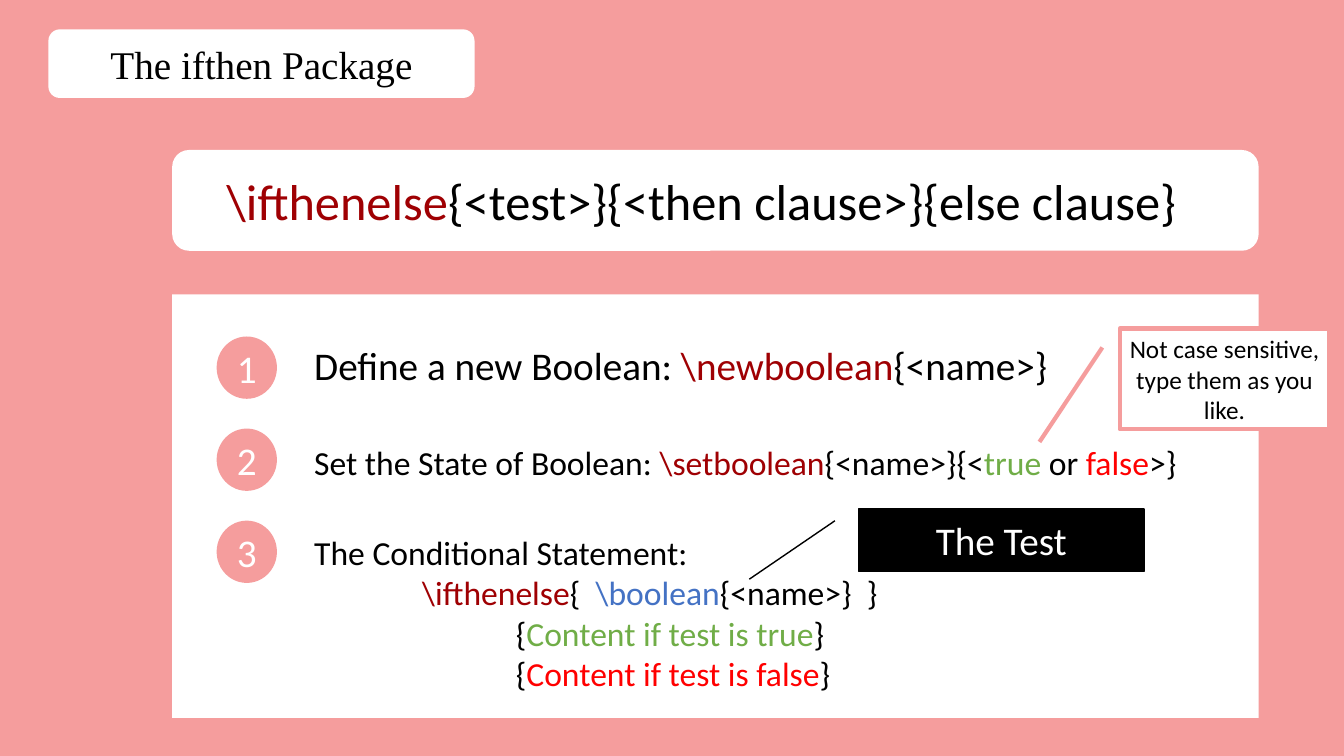
from dataclasses import dataclass

from pptx import Presentation
from pptx.dml.color import RGBColor
from pptx.enum.shapes import MSO_SHAPE
from pptx.enum.text import MSO_ANCHOR, PP_ALIGN
from pptx.util import Cm, Pt

RECTANGLE = MSO_SHAPE.RECTANGLE
ROUNDED = MSO_SHAPE.ROUNDED_RECTANGLE
OVAL = MSO_SHAPE.OVAL
CALLOUT = MSO_SHAPE.LINE_CALLOUT_1
MIDDLE = MSO_ANCHOR.MIDDLE
CENTER = PP_ALIGN.CENTER


@dataclass(frozen=True)
class Theme:
    pink: str = "F59D9D"
    white: str = "FFFFFF"
    black: str = "000000"
    command: str = "9F0003"
    boolean: str = "4472C4"
    true: str = "70AD47"
    false: str = "FF0000"
    body: str = "Calibri"
    serif: str = "Times New Roman"
    syntax_size: int = 36
    large: int = 28
    medium: int = 24
    small: int = 18


THEME = Theme()
CONTENT_LEFT = 4.34
CONTENT_WIDTH = 27.38
BADGE_LEFT = 5.46
STEP_TOP = 8.48
STEP_PITCH = 2.32


def rgb(color):
    return RGBColor.from_string(color)


def style_paragraph(para, size, color=THEME.black, font=THEME.body):
    para.font.size = Pt(size)
    para.font.name = font
    para.font.color.rgb = rgb(color)


def add_panel(shapes, kind, place, fill, outline=None, width=1):
    panel = shapes.add_shape(kind, *map(Cm, place))
    panel.shadow.inherit = False
    panel.fill.solid()
    panel.fill.fore_color.rgb = rgb(fill)
    if outline:
        panel.line.color.rgb = rgb(outline)
        panel.line.width = Pt(width)
    else:
        panel.line.fill.background()
    return panel


def add_label(panel, text, size, color, font=THEME.body):
    frame = panel.text_frame
    frame.word_wrap = True
    frame.vertical_anchor = MIDDLE
    para = frame.paragraphs[0]
    para.text = text
    para.alignment = CENTER
    style_paragraph(para, size, color, font)


def add_code(shapes, place, size, lines):
    box = shapes.add_textbox(*map(Cm, place))
    frame = box.text_frame
    frame.word_wrap = True
    for index, (indent, spans) in enumerate(lines):
        para = frame.add_paragraph() if index else frame.paragraphs[0]
        if indent:
            para._p.get_or_add_pPr().set("marL", str(Cm(indent)))
        style_paragraph(para, size)
        for text, color in spans:
            span = para.add_run()
            span.text = text
            if color != THEME.black:
                span.font.color.rgb = rgb(color)


def add_step(page, number, text_top, text_height, size, lines):
    group = page.shapes.add_group_shape()
    top = STEP_TOP + (number - 1) * STEP_PITCH
    badge = add_panel(group.shapes, OVAL, (BADGE_LEFT, top, 1.52, 1.57), THEME.pink)
    add_label(badge, str(number), THEME.large, THEME.white)
    add_code(group.shapes, (7.67, text_top, 23.22, text_height), size, lines)


def add_syntax(page):
    group = page.shapes.add_group_shape()
    add_panel(group.shapes, ROUNDED, (CONTENT_LEFT, 3.78, CONTENT_WIDTH, 2.54), THEME.white)
    spans = [("\\ifthenelse", THEME.command),
             ("{<test>}{<then clause>}{else clause}", THEME.black)]
    add_code(group.shapes, (BADGE_LEFT, 4.17, 25.4, 1.8), THEME.syntax_size, [(0, spans)])


def add_steps(page):
    black, command = THEME.black, THEME.command
    define = [("Define a new Boolean: ", black), ("\\newboolean", command), ("{<name>}", black)]
    assign = [("Set the State of Boolean: ", black), ("\\setboolean", command),
              ("{<name>}{<", black), ("true", THEME.true), (" or ", black),
              ("false", THEME.false), (">}", black)]
    condition = [("\\ifthenelse", command), ("{  ", black),
                 ("\\boolean", THEME.boolean), ("{<name>}  }", black)]
    branches = [
        (5.08, [("{", black), (f"Content if test is {word}", color), ("}", black)])
        for word, color in (("true", THEME.true), ("false", THEME.false))
    ]
    statement = [(0, [("The Conditional Statement:", black)]), (2.72, condition), *branches]
    add_step(page, 1, 8.48, 1.45, THEME.large, [(0, define)])
    add_step(page, 2, 11, 1.27, THEME.medium, [(0, assign)])
    add_step(page, 3, 13.28, 4.37, THEME.medium, statement)


def main():
    deck = Presentation()
    deck.slide_width = Cm(33.87)
    deck.slide_height = Cm(19.05)
    page = deck.slides.add_slide(deck.slide_layouts[6])
    page.background.fill.solid()
    page.background.fill.fore_color.rgb = rgb(THEME.pink)

    title = add_panel(page.shapes, ROUNDED, (1.22, 0.74, 10.74, 1.73), THEME.white)
    add_label(title, "The ifthen Package", THEME.large, THEME.black, THEME.serif)
    add_panel(page.shapes, RECTANGLE, (CONTENT_LEFT, 7.42, CONTENT_WIDTH, 10.67), THEME.white)
    add_syntax(page)
    add_steps(page)

    note = add_panel(page.shapes, CALLOUT, (28.22, 8.28, 5.28, 2.54),
                     THEME.white, THEME.pink, 3)
    add_label(note, "Not case sensitive, type them as you like.", THEME.small, THEME.black)
    test = add_panel(page.shapes, CALLOUT, (21.64, 12.83, 7.19, 1.57),
                     THEME.black, THEME.black)
    add_label(test, "The Test", THEME.large, THEME.white)

    deck.save("out.pptx")


if __name__ == "__main__":
    main()
